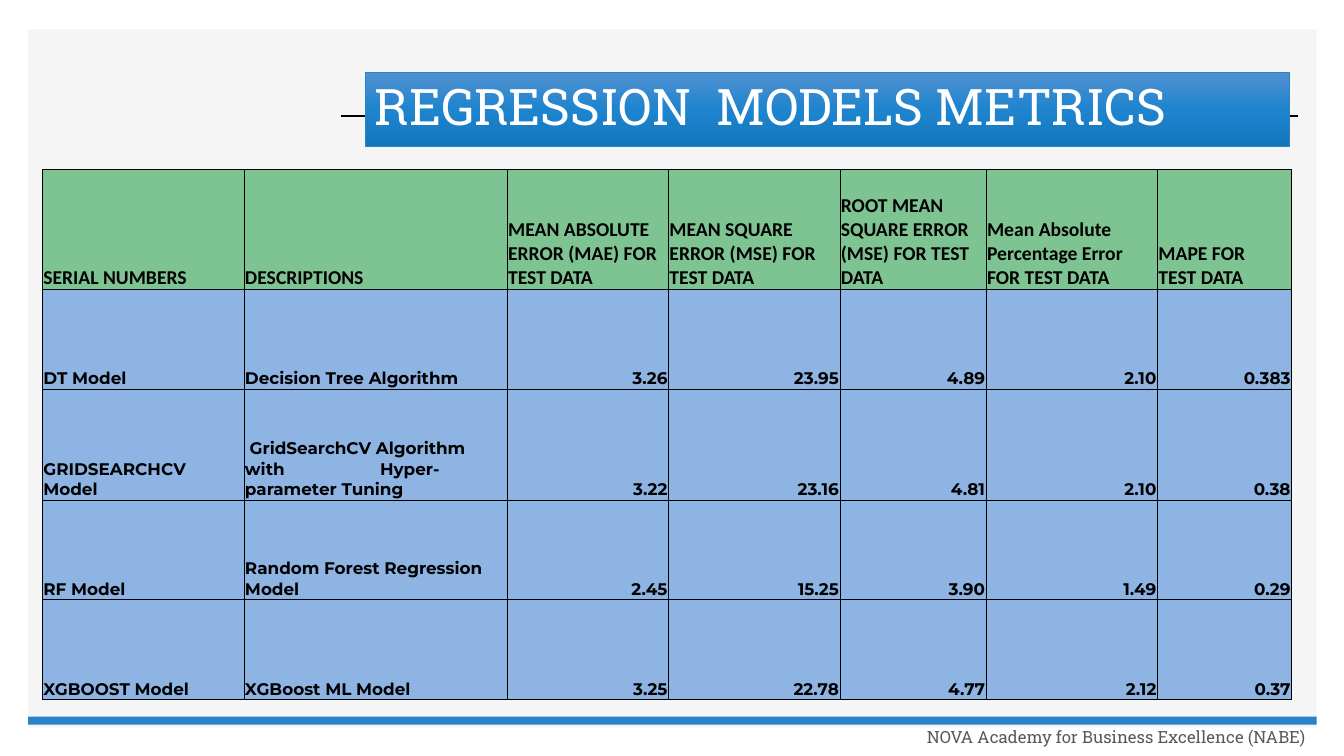
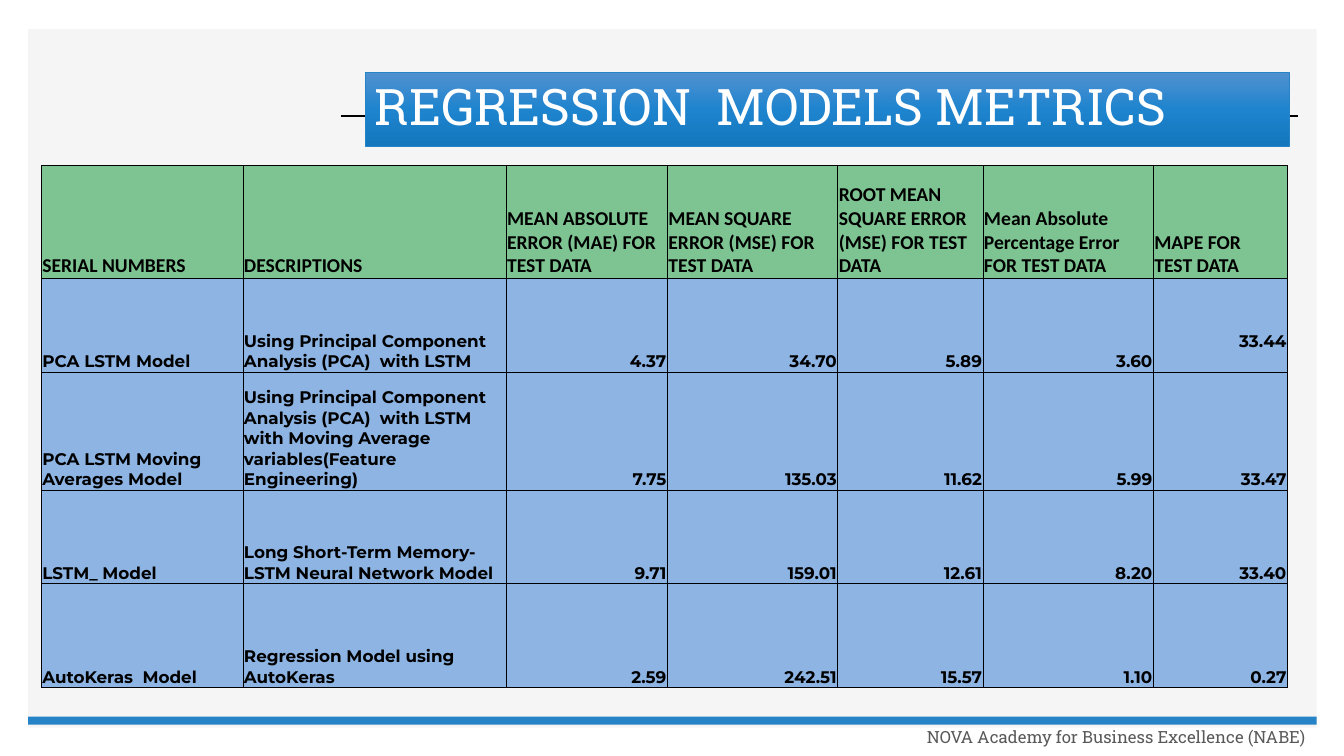
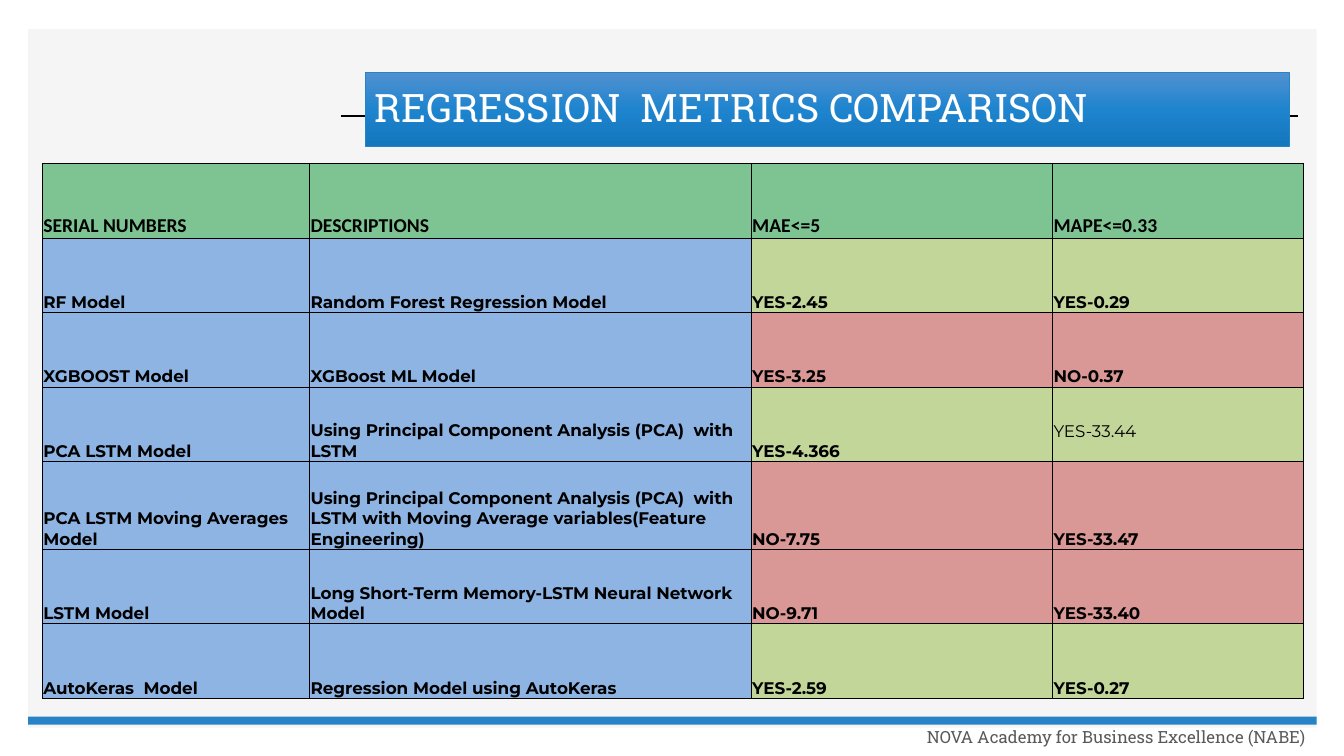
import dataclasses

import lxml.etree
import pptx
import pptx.dml.color
import pptx.enum.shapes
import pptx.enum.text
import pptx.oxml.ns
import pptx.util

Inches = pptx.util.Inches
Pt = pptx.util.Pt
ALIGN = pptx.enum.text.PP_ALIGN
ANCHOR = pptx.enum.text.MSO_ANCHOR
RECTANGLE = pptx.enum.shapes.MSO_SHAPE.RECTANGLE
STRAIGHT = pptx.enum.shapes.MSO_CONNECTOR.STRAIGHT
qn = pptx.oxml.ns.qn


@dataclasses.dataclass(frozen=True)
class Theme:
    # Colours
    panel: str = "F5F5F5"
    accent: str = "2683C6"
    banner: tuple = ((0, "5191D0"), (50, "1E84CE"), (100, "1477BE"))
    ink: str = "000000"
    white: str = "FFFFFF"
    muted: str = "595959"
    header: str = "7EC492"
    body: str = "8DB4E3"
    passed: str = "C2D69A"
    failed: str = "D99795"
    # Type
    display_font: str = "Roboto Slab"
    header_font: str = "Calibri"
    body_font: str = "Montserrat"
    title_size: int = 36
    small_title_size: int = 28
    header_size: int = 14
    body_size: int = 12
    footer_size: int = 12
    # Table cells
    border: float = 0.5
    cell_margins: tuple = (("margin_left", 0.01), ("margin_right", 0.01),
                           ("margin_top", 0.01), ("margin_bottom", 0))


THEME = Theme()
FOOTER = "NOVA Academy for Business Excellence (NABE)"


def rgb(value):
    return pptx.dml.color.RGBColor.from_string(value)


def add_xml(parent, tag, **attributes):
    return lxml.etree.SubElement(parent, qn(tag), attributes)


class Deck:
    def __init__(self, theme):
        self.theme = theme
        self.deck = pptx.Presentation()
        self.deck.slide_width = Inches(13.33)
        self.deck.slide_height = Inches(7.5)
        self.page = None

    def add_page(self, title, title_size):
        """Start a slide with the shared panel, rule, band, footer and title."""
        theme = self.theme
        self.page = self.deck.slides.add_slide(self.deck.slide_layouts[6])
        self.rectangle(0.28, 0.29, 12.78, 6.93, theme.panel)
        self.rule(3.38, 1.15, 12.87)
        self.rectangle(0.28, 7.11, 12.78, 0.08, theme.accent)
        footer = self.page.shapes.add_textbox(*map(Inches, (8.7, 7.08, 4.35, 0.48)))
        self.caption(footer, FOOTER, theme.footer_size, theme.muted, ALIGN.RIGHT)
        self.banner(title, title_size)

    def rectangle(self, left, top, width, height, fill):
        box = self.page.shapes.add_shape(RECTANGLE, *map(Inches, (left, top, width, height)))
        box.shadow.inherit = False
        box.fill.solid()
        box.fill.fore_color.rgb = rgb(fill)
        box.line.fill.background()
        return box

    def rule(self, left, top, right):
        line = self.page.shapes.add_connector(STRAIGHT, *map(Inches, (left, top, right, top)))
        line.line.color.rgb = rgb(self.theme.ink)
        line.line.width = Pt(1)
        add_xml(line._element.spPr, "a:effectLst")

    def banner(self, title, size):
        box = self.rectangle(3.62, 0.72, 9.17, 0.73, self.theme.accent)
        box.line.color.rgb = rgb(self.theme.accent)
        box.line.width = Pt(0.5)
        box.fill.gradient()
        box.fill.gradient_angle = 270
        stops = box._element.spPr.find(".//" + qn("a:gsLst"))
        for stop in list(stops):
            stops.remove(stop)
        for percent, colour in self.theme.banner:
            stop = add_xml(stops, "a:gs", pos=str(percent * 1000))
            add_xml(stop, "a:srgbClr", val=colour)
        self.caption(box, title, size, self.theme.white, ALIGN.LEFT)

    def caption(self, box, text, size, colour, align):
        frame = box.text_frame
        frame.word_wrap = True
        frame.vertical_anchor = ANCHOR.MIDDLE
        para = frame.paragraphs[0]
        para.line_spacing = 0.9
        self.add_text(para, text, align, name=self.theme.display_font, size=Pt(size),
                      bold=False, colour=colour)

    def add_text(self, para, text, align, colour, **formats):
        para.alignment = align
        span = para.add_run()
        span.text = text
        span.font.color.rgb = rgb(colour)
        for key, value in formats.items():
            setattr(span.font, key, value)

    def table(self, left, top, widths, heights, rows, fill_of, numbers_from, special):
        """special maps (row, column) to margins, bold or a tab stop."""
        frame = self.page.shapes.add_table(
            len(rows), len(widths),
            *map(Inches, (left, top, sum(widths), sum(heights))))
        table = frame.table
        table.first_row = table.horz_banding = False
        for column, width in zip(table.columns, widths):
            column.width = Inches(width)
        for line, height in zip(table.rows, heights):
            line.height = Inches(height)
        for row, values in enumerate(rows):
            for column, text in enumerate(values):
                align = ALIGN.RIGHT if row and column >= numbers_from else ALIGN.LEFT
                fill = fill_of(row, column, values) if row else self.theme.header
                self.cell(table.cell(row, column), text, row == 0, fill, align,
                          special.get((row, column), {}))

    def cell(self, cell, text, is_header, fill, align, extra):
        theme = self.theme
        # Borders come before the fill
        properties = cell._tc.get_or_add_tcPr()
        for side in "LRTB":
            edge = add_xml(properties, "a:ln" + side, w=str(Pt(theme.border)))
            add_xml(add_xml(edge, "a:solidFill"), "a:srgbClr", val=theme.ink)
        cell.fill.solid()
        cell.fill.fore_color.rgb = rgb(fill)
        cell.vertical_anchor = ANCHOR.BOTTOM
        for key, value in theme.cell_margins:
            setattr(cell, key, Inches(extra.get(key, value)))
        # Text
        font, size = ((theme.header_font, theme.header_size) if is_header
                      else (theme.body_font, theme.body_size))
        para = cell.text_frame.paragraphs[0]
        self.add_text(para, text, align, name=font, size=Pt(size),
                      bold=extra.get("bold", True), colour=theme.ink)
        if "tab" in extra:
            stops = add_xml(para._p.get_or_add_pPr(), "a:tabLst")
            add_xml(stops, "a:tab", pos=str(Inches(extra["tab"])), algn="l")


def body_fill(row, column, values):
    return THEME.body


def verdict_fill(row, column, values):
    """A model fails as a whole when either limit is missed."""
    if column < 2:
        return THEME.body
    failed = any(value.startswith("NO") for value in values[2:])
    return THEME.failed if failed else THEME.passed


# Content
METRICS_TITLE = "REGRESSION  MODELS METRICS"
METRICS_HEADER = (
    "SERIAL NUMBERS", "DESCRIPTIONS", "MEAN ABSOLUTE ERROR (MAE) FOR TEST DATA",
    "MEAN SQUARE ERROR (MSE) FOR TEST DATA", "ROOT MEAN SQUARE ERROR (MSE) FOR TEST DATA",
    "Mean Absolute Percentage Error FOR TEST DATA", "MAPE FOR TEST DATA")
RF = ("RF Model", "Random Forest Regression Model")
XGBOOST = ("XGBOOST Model", "XGBoost ML Model")
PCA = ("PCA LSTM Model", "Using Principal Component Analysis (PCA)  with LSTM")
PCA_AVERAGES = ("PCA LSTM Moving Averages Model",
                PCA[1] + " with Moving Average variables(Feature Engineering)")
LSTM_TEXT = "Long Short-Term Memory-LSTM Neural Network Model"
AUTOKERAS = ("AutoKeras  Model", "Regression Model using AutoKeras")

TREE_ROWS = (
    METRICS_HEADER,
    ("DT Model", "Decision Tree Algorithm", "3.26", "23.95", "4.89", "2.10", "0.383"),
    ("GRIDSEARCHCV Model", " GridSearchCV Algorithm with\tHyper-parameter Tuning",
     "3.22", "23.16", "4.81", "2.10", "0.38"),
    (*RF, "2.45", "15.25", "3.90", "1.49", "0.29"),
    (*XGBOOST, "3.25", "22.78", "4.77", "2.12", "0.37"))
NETWORK_ROWS = (
    METRICS_HEADER,
    (*PCA, "4.37", "34.70", "5.89", "3.60", "33.44"),
    (*PCA_AVERAGES, "7.75", "135.03", "11.62", "5.99", "33.47"),
    ("LSTM_ Model", LSTM_TEXT, "9.71", "159.01", "12.61", "8.20", "33.40"),
    (*AUTOKERAS, "2.59", "242.51", "15.57", "1.10", "0.27"))
COMPARISON_ROWS = (
    ("SERIAL NUMBERS", "DESCRIPTIONS", "MAE<=5", "MAPE<=0.33"),
    (*RF, "YES-2.45", "YES-0.29"),
    (*XGBOOST, "YES-3.25", "NO-0.37"),
    (*PCA, "YES-4.366", "YES-33.44"),
    (*PCA_AVERAGES, "NO-7.75", "YES-33.47"),
    ("LSTM Model", LSTM_TEXT, "NO-9.71", "YES-33.40"),
    (*AUTOKERAS, "YES-2.59", "YES-0.27"))


def main():
    deck = Deck(THEME)
    narrow = {"margin_right": 0.2}
    raised = {"margin_bottom": 0.2}

    # Tree models
    deck.add_page(METRICS_TITLE, THEME.title_size)
    deck.table(0.42, 1.68, (2, 2.61, 1.6, 1.7, 1.45, 1.7, 1.33),
               (1.19, 0.99, 1.1, 0.99, 0.99), TREE_ROWS, body_fill, 2,
               {(0, 6): narrow, (2, 1): {"tab": 1.34}})

    # Neural network models
    deck.add_page(METRICS_TITLE, THEME.title_size)
    deck.table(0.41, 1.64, (2, 2.61, 1.6, 1.69, 1.44, 1.69, 1.33),
               (1.12, 0.93, 1.17, 0.93, 1.03), NETWORK_ROWS, body_fill, 2,
               {(0, 6): narrow, (1, 6): raised})

    # Comparison against the limits
    deck.add_page("REGRESSION  METRICS COMPARISON", THEME.small_title_size)
    deck.table(0.42, 1.62, (2.65, 4.38, 2.99, 2.49),
               (0.74, 0.74, 0.74, 0.74, 0.87, 0.74, 0.74), COMPARISON_ROWS,
               verdict_fill, 4, {(3, 3): {**raised, "bold": False}})

    deck.deck.save("out.pptx")


if __name__ == "__main__":
    main()
